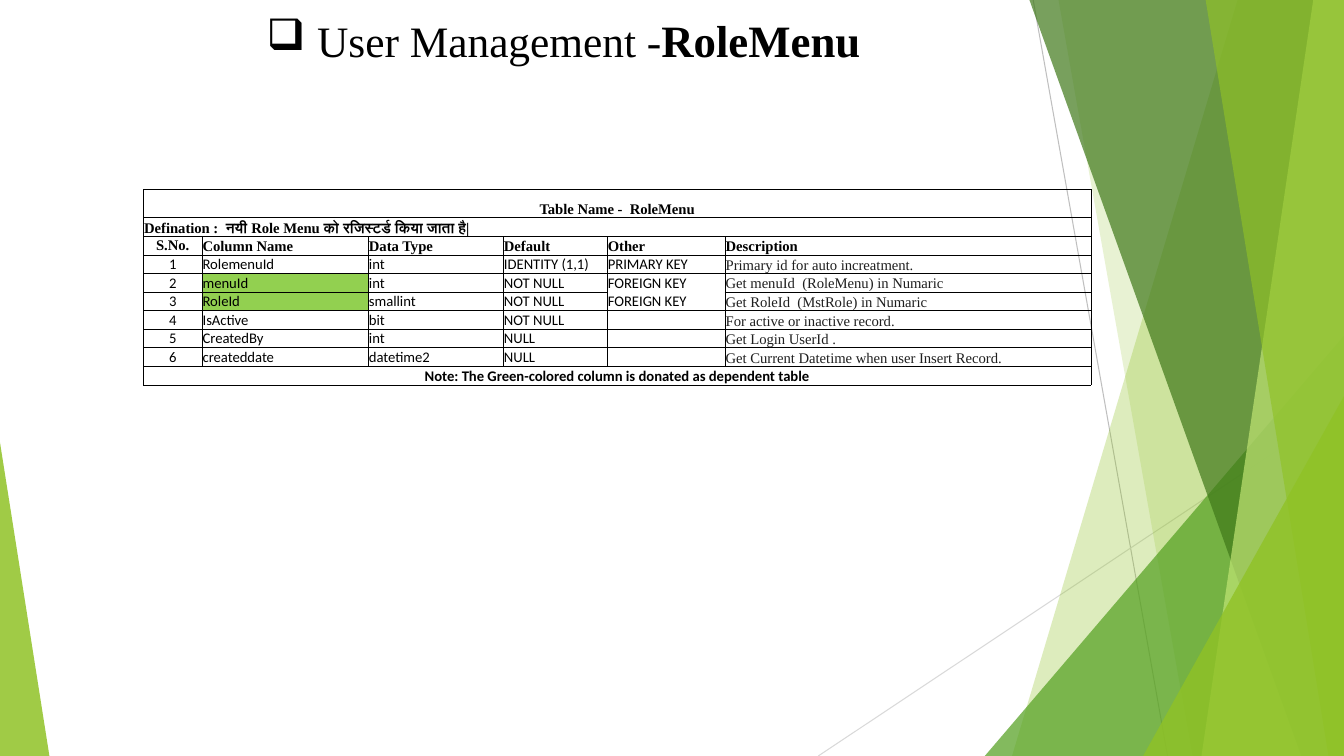
"""Build the RoleMenu table slide for User Management."""
import lxml.etree
import pptx
import pptx.dml.color
import pptx.enum.shapes
import pptx.enum.text
import pptx.oxml
import pptx.oxml.ns
import pptx.util

Pt = pptx.util.Pt
RGBColor = pptx.dml.color.RGBColor
PP_ALIGN = pptx.enum.text.PP_ALIGN
MSO_ANCHOR = pptx.enum.text.MSO_ANCHOR
qn = pptx.oxml.ns.qn

BLACK = RGBColor(0x00, 0x00, 0x00)
CHARCOAL = RGBColor(0x1F, 0x1F, 0x1F)
SILVER = RGBColor(0xBF, 0xBF, 0xBF)
PALE_GREY = RGBColor(0xD9, 0xD9, 0xD9)
LIME = RGBColor(0x90, 0xC2, 0x26)
GREEN = RGBColor(0x54, 0xA0, 0x21)
FOREST = RGBColor(0x3F, 0x78, 0x19)
PALE_LIME = RGBColor(0xC0, 0xE4, 0x74)
DEPENDENT_GREEN = RGBColor(0x92, 0xD0, 0x50)
SERIF = "Times New Roman"
SANS = "Calibri"
WIDTH, HEIGHT = 960, 540


def paint(facet, color, opacity):
    facet.shadow.inherit = False
    facet.line.fill.background()
    facet.fill.solid()
    facet.fill.fore_color.rgb = color
    tint = facet.fill._xPr.find(qn("a:solidFill"))[0]
    lxml.etree.SubElement(tint, qn("a:alpha")).set("val", str(opacity * 1000))


def draw_border(cell, side, visible):
    border = lxml.etree.SubElement(cell._tc.get_or_add_tcPr(), qn(f"a:ln{side}"))
    border.set("w", str(Pt(0.5)))
    if visible:
        ink = lxml.etree.SubElement(border, qn("a:solidFill"))
        lxml.etree.SubElement(ink, qn("a:srgbClr")).set("val", str(BLACK))
    else:
        lxml.etree.SubElement(border, qn("a:noFill"))


deck = pptx.Presentation()
deck.slide_width, deck.slide_height = Pt(WIDTH), Pt(HEIGHT)
slide = deck.slides.add_slide(deck.slide_layouts[6])
shapes = slide.shapes

for x1, y1, x2, y2, color in [(738, 0, 834, 540, SILVER), (960, 290, 584.5, 540, PALE_GREY)]:
    ray = shapes.add_connector(pptx.enum.shapes.MSO_CONNECTOR.STRAIGHT,
                               Pt(x1), Pt(y1), Pt(x2), Pt(y2))
    ray.line.color.rgb = color
    ray.line.width = Pt(0.75)
    lxml.etree.SubElement(ray._element.spPr, qn("a:effectLst"))

FACETS = [
    ("band", 884.16, 722.88, LIME, 30),
    ("band", 756, 851.76, LIME, 20),
    ("triangle", 703.44, 239.76, WIDTH, 1, GREEN, 72),
    ("band", 735.12, 929.52, FOREST, 70),
    ("band", 938.16, 858.24, PALE_LIME, 70),
    ("band", 861.12, 948.96, LIME, 65),
    ("triangle", 816.48, 282.96, WIDTH, 1, LIME, 80),
    ("triangle", 0, 316.08, 35.28, 0, LIME, 85),
]
for kind, *geometry, color, opacity in FACETS:
    if kind == "band":
        top_x, bottom_x = geometry
        outline = shapes.build_freeform(Pt(top_x), Pt(-0.6))
        outline.add_line_segments([(Pt(WIDTH), Pt(-0.6)), (Pt(WIDTH), Pt(HEIGHT)),
                                   (Pt(bottom_x), Pt(HEIGHT))])
        facet = outline.convert_to_shape()
    else:
        left, top, right, apex = geometry
        facet = shapes.add_shape(pptx.enum.shapes.MSO_SHAPE.ISOSCELES_TRIANGLE,
                                 Pt(left), Pt(top), Pt(right - left), Pt(HEIGHT - top))
        facet.adjustments[0] = apex
    paint(facet, color, opacity)

title = shapes.add_textbox(Pt(112.3), Pt(5.8), Pt(596.2), Pt(46.1)).text_frame
title.word_wrap = True
title.auto_size = pptx.enum.text.MSO_AUTO_SIZE.SHAPE_TO_FIT_TEXT
title.margin_right = Pt(22.7)
heading = title.paragraphs[0]
heading.alignment = PP_ALIGN.CENTER
heading_format = heading._p.get_or_add_pPr()
heading_format.set("marL", str(Pt(36)))
heading_format.set("indent", str(Pt(-36)))
lxml.etree.SubElement(heading_format, qn("a:buChar")).set("char", "❑")
heading.font.name = SERIF
heading.font.color.rgb = BLACK
for words, size, bold in [("User Management -", 31, False), ("RoleMenu", 32, True)]:
    run = heading.add_run()
    run.text = words
    run.font.size = Pt(size)
    run.font.bold = bold

ROWS = [
    ["Table Name -  RoleMenu"],
    ["Defination :  नयी Role Menu को रजिस्टर्ड किया जाता है|"],
    ["S.No.", "Column Name", "Data Type", "Default", "Other", "Description"],
    ["1", "RolemenuId", "int", "IDENTITY (1,1)", "PRIMARY KEY", "Primary id for auto increatment."],
    ["2", "menuId", "int", "NOT NULL", "FOREIGN KEY", "Get menuId  (RoleMenu) in Numaric"],
    ["3", "RoleId", "smallint", "NOT NULL", "FOREIGN KEY", "Get RoleId  (MstRole) in Numaric"],
    ["4", "IsActive", "bit", "NOT NULL", "", "For active or inactive record."],
    ["5", "CreatedBy", "int", "NULL", "", "Get Login UserId ."],
    ["6", "createddate", "datetime2", "NULL", "", "Get Current Datetime when user Insert Record."],
    ["Note: The Green-colored column is donated as dependent table"],
]
COLUMN_WIDTHS = [41.76, 118.8, 96.48, 74.16, 84.24, 261.36]
NOTE_ROW = len(ROWS) - 1
DEPENDENT_CELLS = {(4, 1), (5, 1)}
OPEN_BORDERS = {(4, 4, "B"), (5, 4, "T")}

role_menu = shapes.add_table(len(ROWS), len(COLUMN_WIDTHS), Pt(102.5), Pt(135.4),
                             Pt(676.8), Pt(139.68)).table
role_menu.first_row = False
role_menu.horz_banding = False
for column, width in zip(role_menu.columns, COLUMN_WIDTHS):
    column.width = Pt(width)
for r, texts in enumerate(ROWS):
    role_menu.rows[r].height = Pt(20.16 if r == 0 else 13.28)
    if len(texts) == 1:
        role_menu.cell(r, 0).merge(role_menu.cell(r, len(COLUMN_WIDTHS) - 1))
    for c in range(len(COLUMN_WIDTHS)):
        cell = role_menu.cell(r, c)
        for side in "LRTB":
            draw_border(cell, side, (r, c, side) not in OPEN_BORDERS)
        if (r, c) in DEPENDENT_CELLS:
            cell.fill.solid()
            cell.fill.fore_color.rgb = DEPENDENT_GREEN
        else:
            cell.fill.background()
        cell.margin_left = cell.margin_right = cell.margin_top = Pt(0.5)
        cell.margin_bottom = 0
        numbered = c == 0 and len(texts) > 1
        cell.vertical_anchor = MSO_ANCHOR.MIDDLE if numbered else MSO_ANCHOR.BOTTOM
        entry = cell.text_frame.paragraphs[0]
        if c < len(texts) and texts[c]:
            entry.text = texts[c]
        else:
            lxml.etree.SubElement(entry._p, qn("a:endParaRPr")).set("sz", "1050")
        centred = numbered or r in (0, NOTE_ROW)
        entry.alignment = PP_ALIGN.CENTER if centred else PP_ALIGN.LEFT
        described = c == 5 and 2 < r < NOTE_ROW
        entry.font.name = SERIF if r < 3 or described else SANS
        entry.font.size = Pt(10.5)
        entry.font.bold = r < 3 or r == NOTE_ROW
        entry.font.color.rgb = CHARCOAL if described else BLACK

deck.save("out.pptx")
